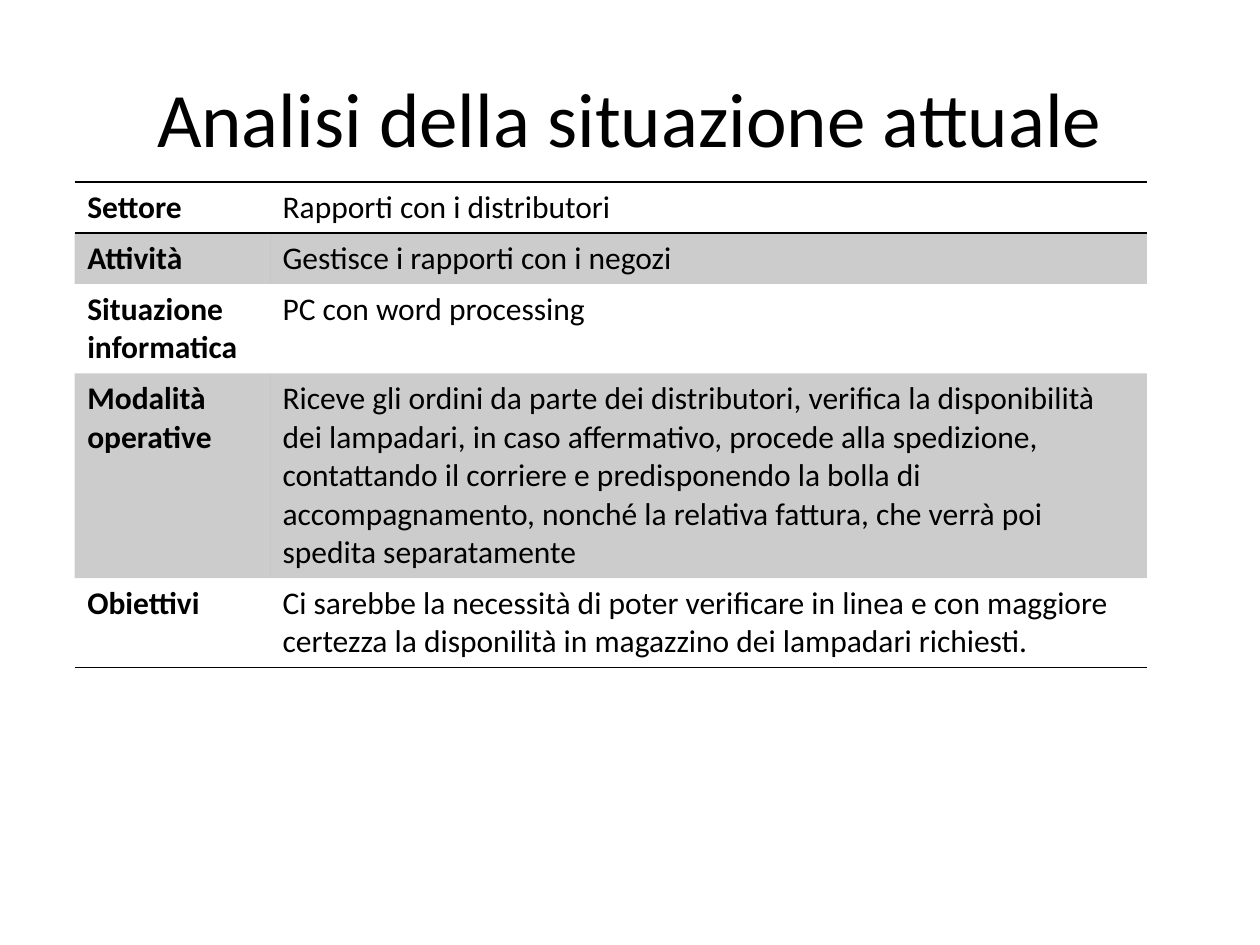
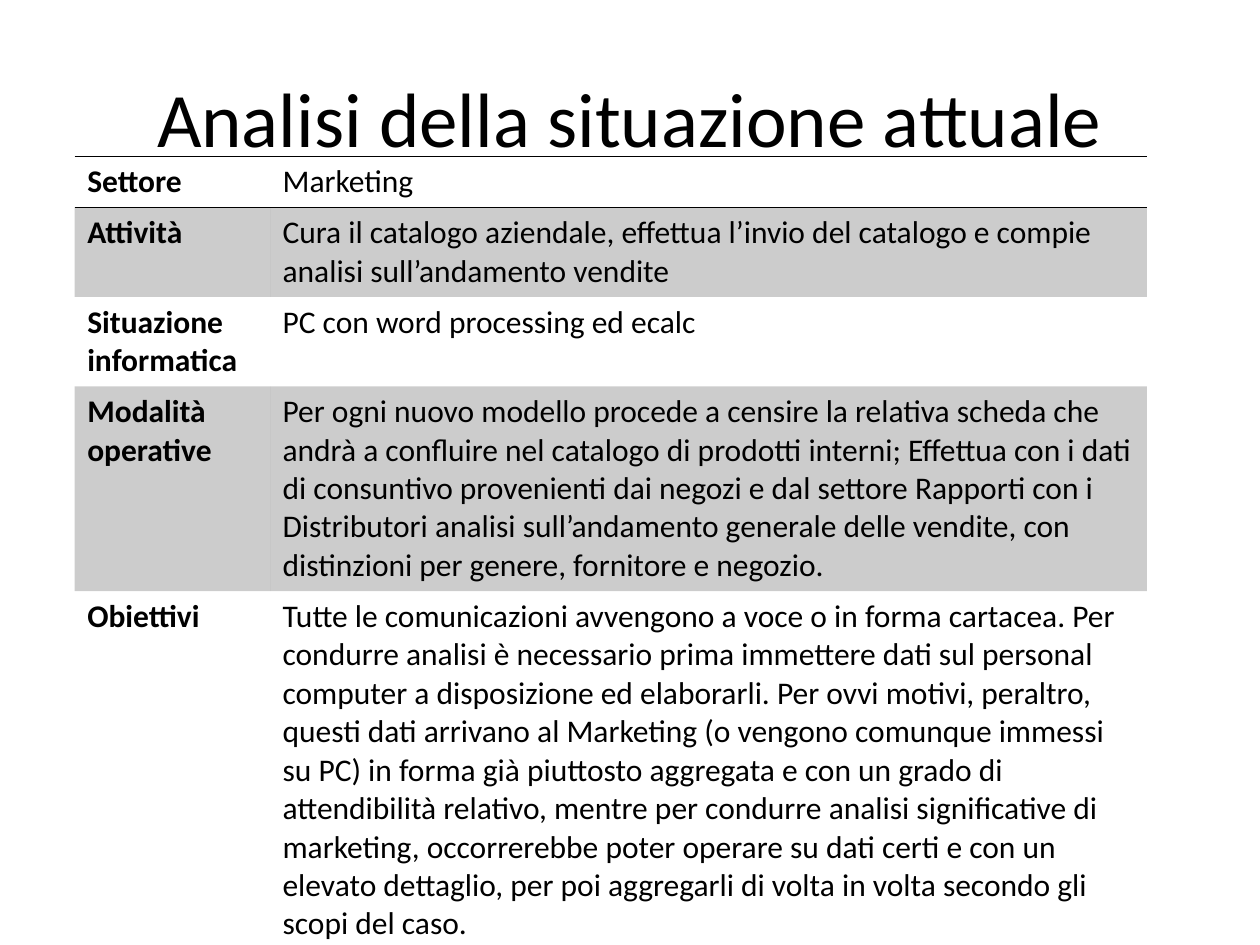
from lxml import etree
from pptx import Presentation
from pptx.dml.color import RGBColor
from pptx.enum.text import MSO_ANCHOR, PP_ALIGN
from pptx.oxml.ns import qn
from pptx.util import Pt

CENTER, MIDDLE = PP_ALIGN.CENTER, MSO_ANCHOR.MIDDLE

TITLE = "Analisi della situazione attuale"
LABELS = ["Settore", "Attività", "Situazione informatica", "Modalità operative", "Obiettivi"]

# Each answer carries the number of lines its row needs.
SECTORS = [
    {"top": 103.9, "answers": [
        ("Rapporti con i distributori", 1),
        ("Gestisce i rapporti con i negozi", 1),
        ("PC con word processing", 2),
        ("Riceve gli ordini da parte dei distributori, verifica la disponibilità dei lampadari, "
         "in caso affermativo, procede alla spedizione, contattando il corriere e predisponendo "
         "la bolla di accompagnamento, nonché la relativa fattura, che verrà poi spedita "
         "separatamente", 5),
        ("Ci sarebbe la necessità di poter verificare in linea e con maggiore certezza la "
         "disponilità in magazzino dei lampadari richiesti.", 2),
    ]},
    {"top": 89.3, "answers": [
        ("Marketing", 1),
        ("Cura il catalogo aziendale, effettua l’invio del catalogo e compie analisi "
         "sull’andamento vendite", 2),
        ("PC con word processing ed ecalc", 2),
        ("Per ogni nuovo modello procede a censire la relativa scheda che andrà a confluire nel "
         "catalogo di prodotti interni; Effettua con i dati di consuntivo provenienti dai negozi "
         "e dal settore Rapporti con i Distributori analisi sull’andamento generale delle "
         "vendite, con distinzioni per genere, fornitore e negozio.", 5),
        ("Tutte le comunicazioni avvengono a voce o in forma cartacea. Per condurre analisi è "
         "necessario prima immettere dati sul personal computer a disposizione ed elaborarli. "
         "Per ovvi motivi, peraltro, questi dati arrivano al Marketing (o vengono comunque "
         "immessi su PC) in forma già piuttosto aggregata e con un grado di attendibilità "
         "relativo, mentre per condurre analisi significative di marketing, occorrerebbe poter "
         "operare su dati certi e con un elevato dettaglio, per poi aggregarli di volta in volta "
         "secondo gli scopi del caso.", 9),
    ]},
]

COLORS = {"ink": "000000"}
FONT = "Calibri"
TITLE_SIZE, CELL_SIZE = 44, 18
TABLE_LEFT = 42.7
COLUMN_WIDTHS = [111.6, 501.1]
LINE_HEIGHT, ROW_PADDING = 21.97, 7.2
BAND_ALPHA = 20000
NO_STYLE = "{2D5ABB26-0587-4C30-8999-92F81FD0307C}"


def write(paragraph, text, size, bold=False):
    span = paragraph.add_run()
    span.text = text
    for name, value in {"name": FONT, "size": Pt(size), "bold": bold}.items():
        setattr(span.font, name, value)
    span.font.color.rgb = RGBColor.from_string(COLORS["ink"])


def add_title(page):
    box = page.shapes.add_textbox(Pt(36), Pt(21.6), Pt(648), Pt(90))
    frame = box.text_frame
    frame.word_wrap = True
    frame.vertical_anchor = MIDDLE
    frame.paragraphs[0].alignment = CENTER
    write(frame.paragraphs[0], TITLE, TITLE_SIZE)


def add_rule(cell, side):
    """Draw a thin line along the cell's top (T) or bottom (B)."""
    properties = cell._tc.get_or_add_tcPr()
    line = etree.SubElement(properties, qn(f"a:ln{side}"), w=str(Pt(1)))
    fill = etree.SubElement(line, qn("a:solidFill"))
    etree.SubElement(fill, qn("a:srgbClr"), val=COLORS["ink"])


def fill_band(cell):
    cell.fill.solid()
    cell.fill.fore_color.rgb = RGBColor.from_string(COLORS["ink"])
    color = cell._tc.tcPr.find(f"{qn('a:solidFill')}/{qn('a:srgbClr')}")
    etree.SubElement(color, qn("a:alpha"), val=str(BAND_ALPHA))


def add_sector_table(page, top, answers):
    heights = [ROW_PADDING + LINE_HEIGHT * lines for _, lines in answers]
    table = page.shapes.add_table(len(answers), 2, Pt(TABLE_LEFT), Pt(top),
                                  Pt(sum(COLUMN_WIDTHS)), Pt(sum(heights))).table
    table.first_row = table.horz_banding = False
    table._tbl.tblPr.find(qn("a:tableStyleId")).text = NO_STYLE
    for column, width in zip(table.columns, COLUMN_WIDTHS):
        column.width = Pt(width)

    sides = {0: "TB", len(answers) - 1: "B"}
    for index, (label, (answer, _)) in enumerate(zip(LABELS, answers)):
        table.rows[index].height = Pt(heights[index])
        for column, text in enumerate((label, answer)):
            cell = table.cell(index, column)
            write(cell.text_frame.paragraphs[0], text, CELL_SIZE, bold=column == 0)
            for side in sides.get(index, ""):
                add_rule(cell, side)
            if index % 2:
                fill_band(cell)
            else:
                cell.fill.background()


def main():
    deck = Presentation()
    deck.slide_width, deck.slide_height = Pt(720), Pt(540)
    for sector in SECTORS:
        page = deck.slides.add_slide(deck.slide_layouts[6])
        add_title(page)
        add_sector_table(page, sector["top"], sector["answers"])
    deck.save("out.pptx")


if __name__ == "__main__":
    main()
